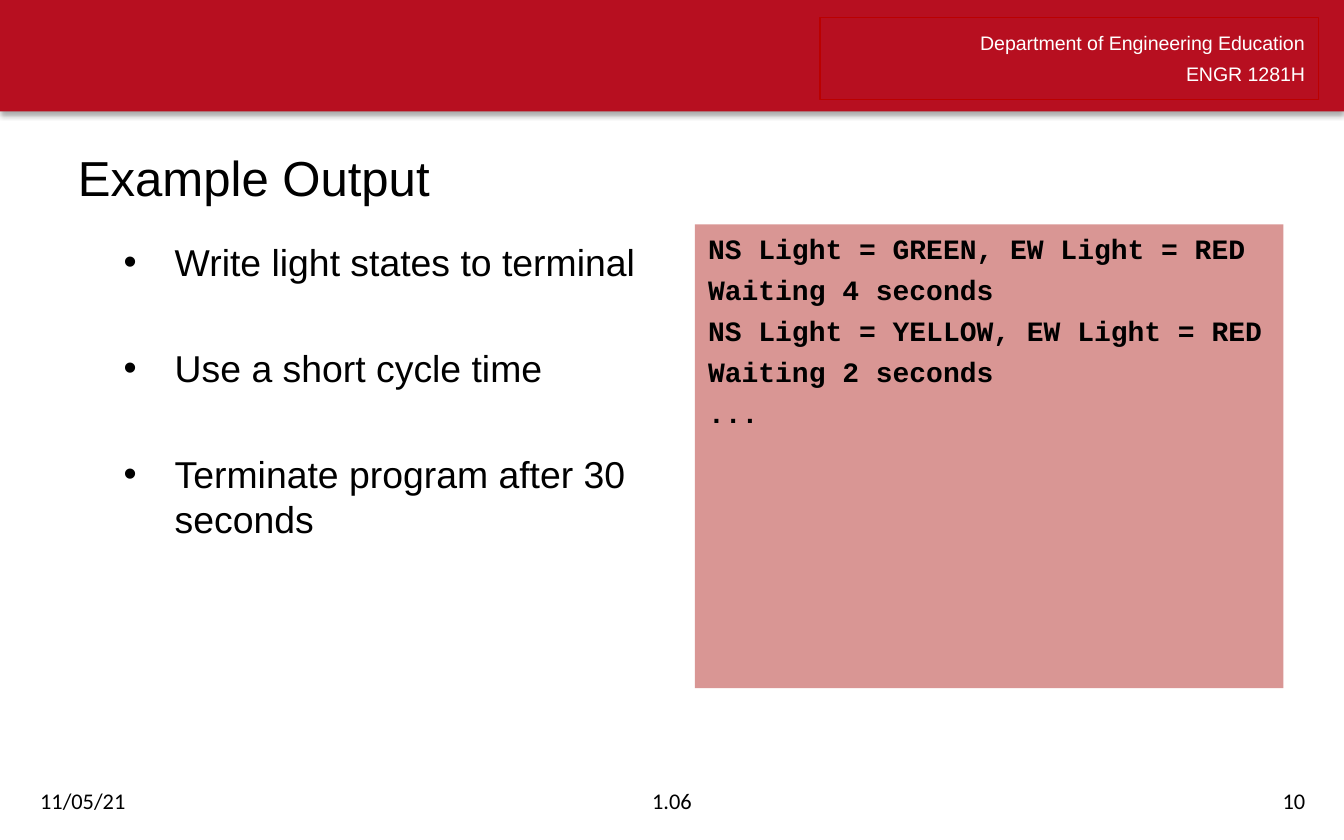
from dataclasses import dataclass

from lxml import etree
from pptx import Presentation
from pptx.dml.color import RGBColor
from pptx.enum.shapes import MSO_SHAPE
from pptx.enum.text import MSO_ANCHOR, MSO_AUTO_SIZE, PP_ALIGN
from pptx.oxml.ns import qn
from pptx.util import Inches, Pt

RECTANGLE = MSO_SHAPE.RECTANGLE
TOP, MIDDLE = MSO_ANCHOR.TOP, MSO_ANCHOR.MIDDLE
LEFT, CENTER, RIGHT = PP_ALIGN.LEFT, PP_ALIGN.CENTER, PP_ALIGN.RIGHT


@dataclass(frozen=True)
class Theme:
    banner: str = "B70F20"
    banner_frame: str = "BB0000"
    panel: str = "D99694"
    light: str = "FFFFFF"
    ink: str = "000000"
    sans: str = "Arial"
    mono: str = "Courier New"
    footer: str = "Calibri"
    title_size: float = 26.3
    body_size: float = 20
    code_size: float = 15
    footer_size: float = 12
    banner_size: float = 10.5


theme = Theme()
deck = Presentation()
deck.slide_width, deck.slide_height = Inches(10), Inches(6.25)
# The slide is a grid of 100 columns by 100 rows.
COLUMN, ROW = deck.slide_width / 100, deck.slide_height / 100
page = deck.slides.add_slide(deck.slide_layouts[1])


def place(shape, left, top, width, height):
    """Position a shape in grid columns and rows."""
    shape.left, shape.width = int(left * COLUMN), int(width * COLUMN)
    shape.top, shape.height = int(top * ROW), int(height * ROW)
    return shape


def write(shape, lines, font, size, color=theme.ink, align=LEFT, anchor=TOP, bold=False):
    """Fill a shape with one paragraph per line and return the paragraphs."""
    frame = shape.text_frame
    frame.word_wrap = True
    frame.auto_size = MSO_AUTO_SIZE.NONE
    frame.vertical_anchor = anchor
    frame.text = "\n".join(lines)
    for para in frame.paragraphs:
        para.alignment = align
        para.font.name, para.font.size, para.font.bold = font, Pt(size), bold
        para.font.color.rgb = RGBColor.from_string(color)
    return frame.paragraphs


# Banner with a soft shadow below it
banner = place(page.shapes.add_shape(RECTANGLE, 0, 0, 0, 0), 0, 0, 100, 13.28)
banner.fill.solid()
banner.fill.fore_color.rgb = RGBColor.from_string(theme.banner)
banner.line.fill.background()
banner.shadow.inherit = False
effects = banner.element.spPr.find(qn("a:effectLst"))
shadow = etree.SubElement(effects, qn("a:outerShdw"), blurRad=str(Pt(3.1)),
                          dist=str(Pt(1.8)), dir="5400000", rotWithShape="0")
shadow_color = etree.SubElement(shadow, qn("a:srgbClr"), val=theme.ink)
etree.SubElement(shadow_color, qn("a:alpha"), val="35000")

course = place(page.shapes.add_shape(RECTANGLE, 0, 0, 0, 0), 61, 2.08, 37.1, 9.76)
course.fill.background()
course.line.color.rgb = RGBColor.from_string(theme.banner_frame)
course.line.width = Pt(0.75)
course.shadow.inherit = False
for para in write(course, ["Department of Engineering Education", "ENGR 1281H"],
                  theme.sans, theme.banner_size, theme.light, RIGHT):
    para.line_spacing = Pt(16.4)

# Title and bullets
title = place(page.shapes.title, 4.8, 15.36, 90.7, 11.36)
write(title, ["Example Output"], theme.sans, theme.title_size, anchor=MIDDLE)

bullets = place(page.placeholders[1], 8.2, 27.68, 43.2, 65.12)
tasks = ["Write light states to terminal", "Use a short cycle time",
         "Terminate program after 30 seconds"]
for index, para in enumerate(write(bullets, tasks, theme.sans, theme.body_size)):
    para.line_spacing = Pt(24)
    para.space_before = Pt(32.8 if index else 0)
    properties = para._p.get_or_add_pPr()
    properties.set("marL", str(Inches(0.38)))
    properties.set("indent", str(-Inches(0.38)))
    etree.SubElement(properties, qn("a:buFont"), typeface=theme.sans)
    etree.SubElement(properties, qn("a:buChar"), char="•")
    # The schema wants paragraph font defaults after the bullet.
    properties.append(properties.find(qn("a:defRPr")))

# Terminal output
terminal = place(page.shapes.add_shape(RECTANGLE, 0, 0, 0, 0), 51.7, 26.72, 43.8, 55.2)
terminal.fill.solid()
terminal.fill.fore_color.rgb = RGBColor.from_string(theme.panel)
terminal.line.fill.background()
terminal.shadow.inherit = False
output = ["NS Light = GREEN, EW Light = RED", "Waiting 4 seconds",
          "NS Light = YELLOW, EW Light = RED", "Waiting 2 seconds", "..."]
for para in write(terminal, output, theme.mono, theme.code_size, bold=True):
    para.space_before = Pt(4)

# Footer
for text, left, width, align in [("11/05/21", 2, 22.5, LEFT),
                                 ("1.06", 33.1, 33.8, CENTER),
                                 ("10", 75.6, 22.5, RIGHT)]:
    note = place(page.shapes.add_textbox(0, 0, 0, 0), left, 92.64, width, 5.28)
    write(note, [text], theme.footer, theme.footer_size, align=align, anchor=MIDDLE)

deck.save("out.pptx")
